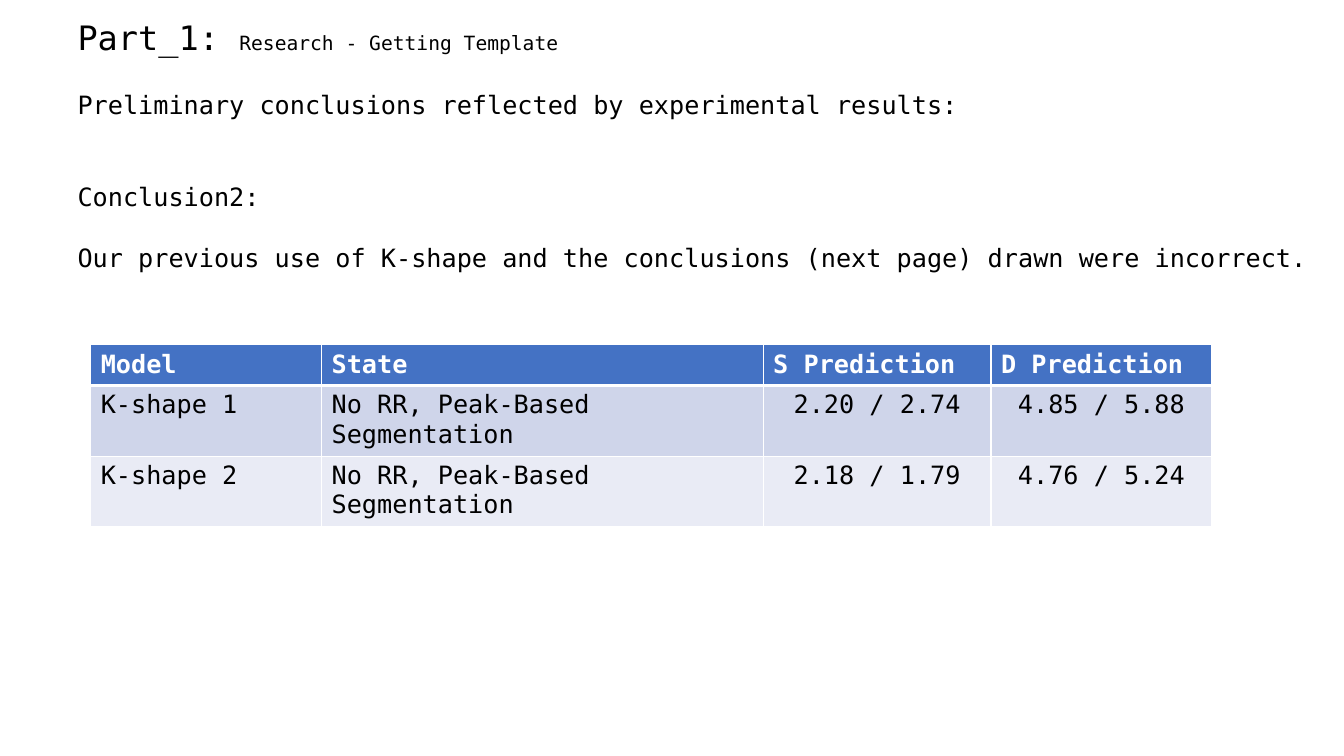
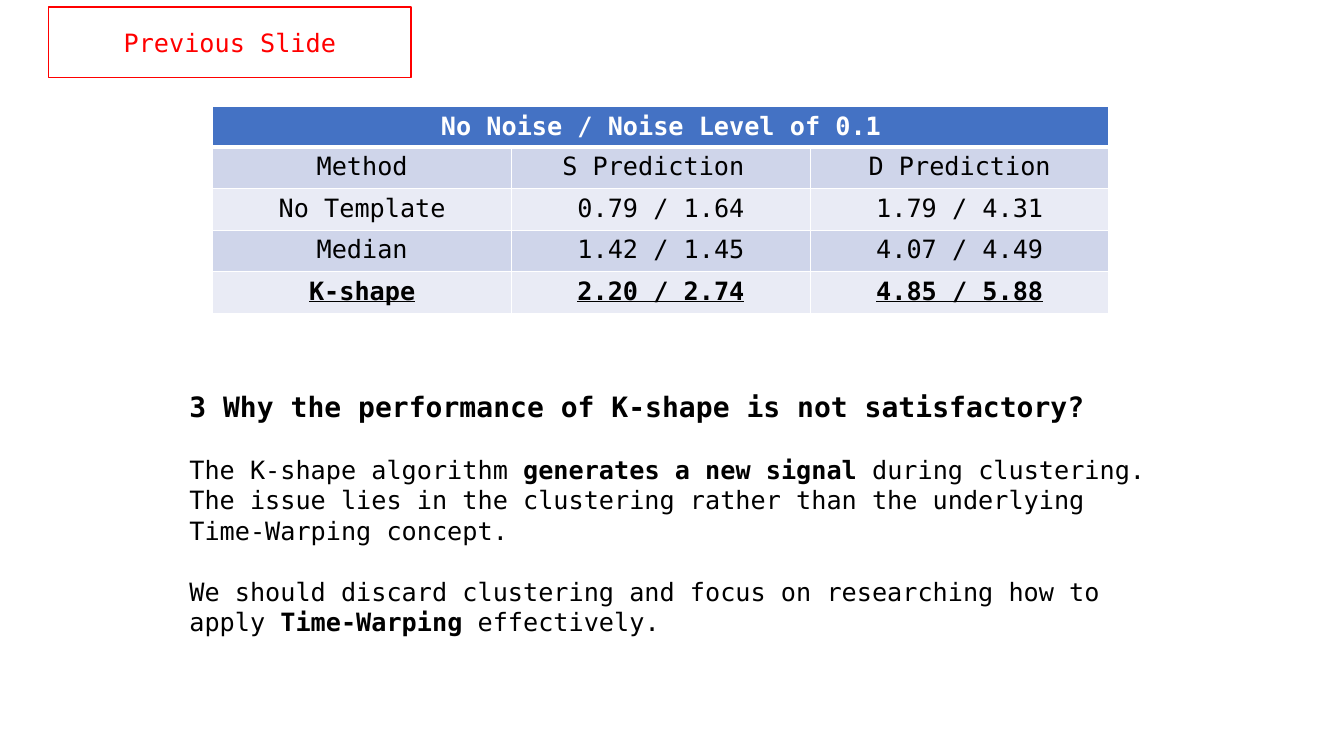
from dataclasses import dataclass
from lxml.etree import SubElement as Sub
from pptx import Presentation
from pptx.dml.color import RGBColor as RGB
from pptx.enum.shapes import MSO_SHAPE as Kind
from pptx.enum.text import MSO_ANCHOR as Anchor, MSO_AUTO_SIZE as Fit, PP_ALIGN as Align
from pptx.oxml.ns import qn
from pptx.util import Inches, Pt


@dataclass(frozen=True)
class Theme:
    face: str = "DejaVu Sans Mono"
    ink: str = "000000"
    white: str = "FFFFFF"
    red: str = "FF0000"
    head: str = "4472C4"
    bands: tuple = ("CFD5EA", "E9EBF5")
    title: int = 24
    lead: int = 20
    body: int = 18
    note: int = 14
    gap: int = 22  # one empty line of body text


@dataclass(frozen=True)
class Para:
    runs: tuple  # plain text, or (text, font settings)
    size: int = 18
    bold: bool = False
    lines: int = 0  # empty lines above


T = Theme()
WIDE, HIGH = Inches(13.333), Inches(7.5)


def grid(left, top, width, height):
    """Box on a grid of 100 columns and 100 rows."""
    col, row = WIDE / 100, HIGH / 100
    return [round(n) for n in (left * col, top * row, width * col, height * row)]


def style(font, size=T.body, color=T.ink, bold=False, line=False):
    font.name, font.size = T.face, Pt(size)
    font.bold, font.underline = bold, line
    font.color.rgb = RGB.from_string(color)


def write(slide, box, paras):
    frame = slide.shapes.add_textbox(*box).text_frame
    frame.word_wrap, frame.auto_size = True, Fit.SHAPE_TO_FIT_TEXT
    for i, para in enumerate(paras):
        p = frame.add_paragraph() if i else frame.paragraphs[0]
        style(p.font, para.size, bold=para.bold)
        p.space_before = Pt(para.lines * T.gap)
        for part in para.runs:
            text, extra = (part, {}) if isinstance(part, str) else part
            run = p.add_run()
            run.text = text
            if extra:
                style(run.font, **{"size": para.size, "bold": para.bold, **extra})


def edge(cell, top):
    """White cell borders, heavier under the header row."""
    props = cell._tc.get_or_add_tcPr()
    for side in "LRTB":
        width = Pt(3 if top and side == "B" else 1)
        line = Sub(props, qn(f"a:ln{side}"), w=str(width))
        Sub(Sub(line, qn("a:solidFill")), qn("a:srgbClr"), val=T.white)


def table(slide, box, cols, heights, rows, mid, strong=None):
    """Banded table; mid(row, column) tells which cells are centred."""
    left, top, width, height = box
    grid_ = slide.shapes.add_table(len(rows), len(cols), *box).table
    for column, share in zip(grid_.columns, cols):
        column.width = round(width * share / sum(cols))
    for row, share in zip(grid_.rows, heights):
        row.height = round(height * share / sum(heights))
    for r, row in enumerate(rows):
        for c in range(len(cols)):
            cell = grid_.cell(r, c)
            edge(cell, r == 0)
            cell.fill.solid()
            cell.fill.fore_color.rgb = RGB.from_string(T.bands[(r - 1) % 2] if r else T.head)
            if c >= len(row):
                continue
            p = cell.text_frame.paragraphs[0]
            p.text = row[c]
            p.alignment = Align.CENTER if mid(r, c) else Align.LEFT
            style(p.font, color=T.ink if r else T.white,
                  bold=r in (0, strong), line=r == strong)
        # A short row spans the full width
        if len(row) == 1:
            grid_.cell(r, 0).merge(grid_.cell(r, len(cols) - 1))


def tag(slide, box, text):
    shape = slide.shapes.add_shape(Kind.RECTANGLE, *box)
    shape.shadow.inherit = False
    shape.fill.background()
    shape.line.color.rgb = RGB.from_string(T.red)
    shape.line.width = Pt(1)
    shape.text_frame.vertical_anchor = Anchor.MIDDLE
    p = shape.text_frame.paragraphs[0]
    p.text, p.alignment = text, Align.CENTER
    style(p.font, color=T.red)


def result(slide):
    # Title
    write(slide, grid(5.03, 1.6, 37.58, 6.67), [
        Para(("Part_1: ", ("Research - Getting Template", {"size": T.note})), T.title)])
    # Conclusions
    write(slide, grid(5.03, 11.2, 93.17, 25.6), [
        Para(("Preliminary conclusions reflected by experimental results:",)),
        Para(("Conclusion2:",), lines=2),
        Para(("Our previous use of K-shape and the conclusions (next page) "
              "drawn were incorrect.",), lines=1)])
    # Scores of both models
    state = "No RR, Peak-Based Segmentation"
    table(slide, grid(6.75, 45.6, 83.42, 16.2), (2.29, 4.38, 2.26, 2.19), (1, 1, 1), [
        ("Model", "State", "S Prediction", "D Prediction"),
        ("K-shape 1", state, "2.20 / 2.74", "4.85 / 5.88"),
        ("K-shape 2", state, "2.18 / 1.79", "4.76 / 5.24"),
    ], mid=lambda r, c: r > 0 and c > 1)


def review(slide):
    # Scores by method
    table(slide, grid(15.83, 14.13, 66.69, 26.93), (1, 1, 1), (0.9, 1, 1, 1, 1), [
        ("No Noise / Noise Level of 0.1",),
        ("Method", "S Prediction ", "D Prediction"),
        ("No Template", "0.79 / 1.64", "1.79 / 4.31"),
        ("Median", "1.42 / 1.45", "4.07 / 4.49"),
        ("K-shape", "2.20 / 2.74", "4.85 / 5.88"),
    ], mid=lambda r, c: True, strong=4)
    # Explanation
    bold = {"bold": True}
    write(slide, grid(13.35, 50.93, 73.37, 34.13), [
        Para(("3 Why the performance of K-shape is not satisfactory?",), T.lead, True),
        Para(("The K-shape algorithm ", ("generates a new signal ", bold),
              "during clustering. The issue lies in the clustering rather than "
              "the underlying Time-Warping concept."), lines=1),
        Para(("We should discard clustering and focus on researching how to apply ",
              ("Time-Warping", bold), " effectively."), lines=1)])
    # Corner tag
    tag(slide, grid(3.6, 0.93, 27, 9.33), "Previous Slide")


def main():
    deck = Presentation()
    deck.slide_width, deck.slide_height = WIDE, HIGH
    for build in (result, review):
        build(deck.slides.add_slide(deck.slide_layouts[6]))
    deck.save("out.pptx")


if __name__ == "__main__":
    main()
